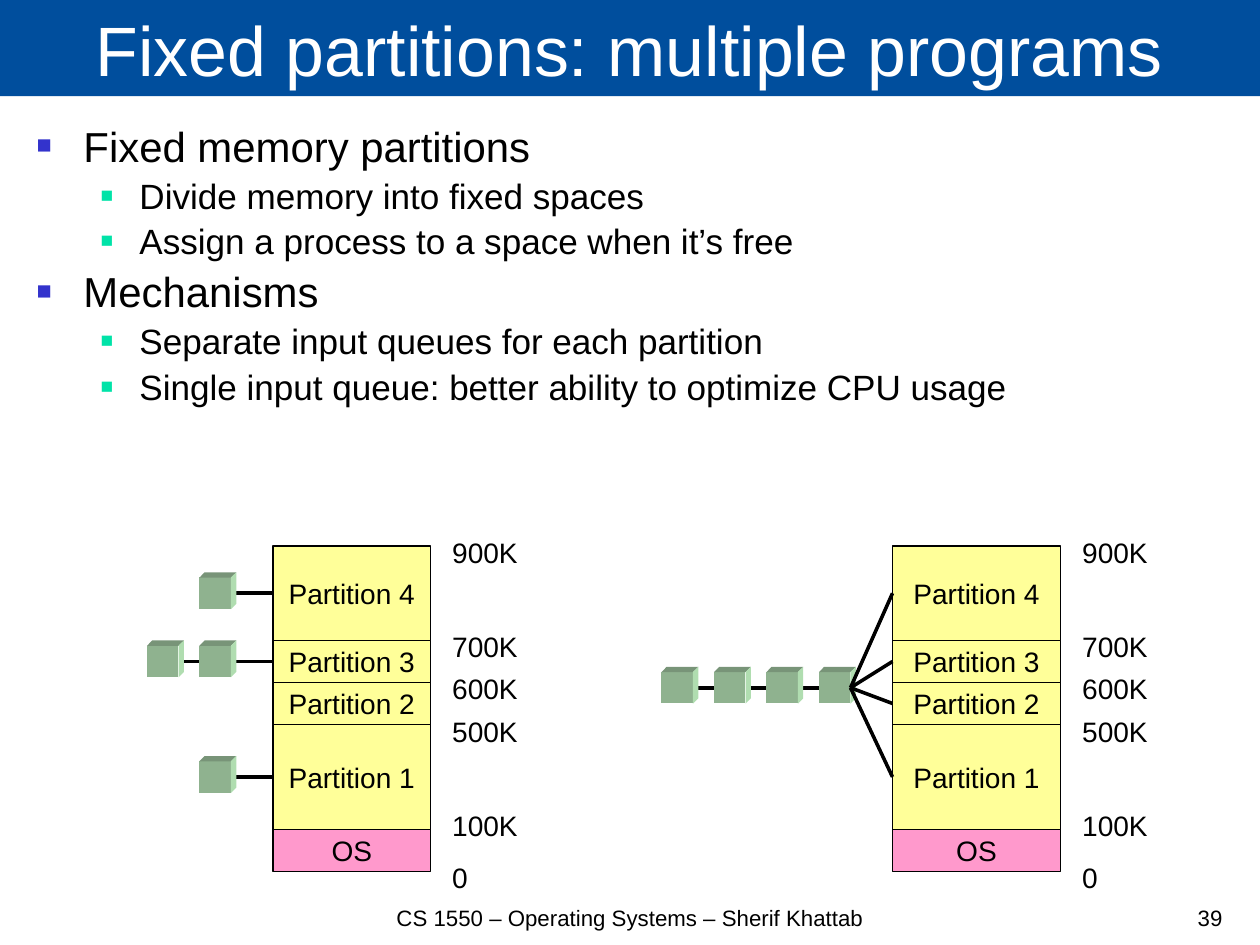
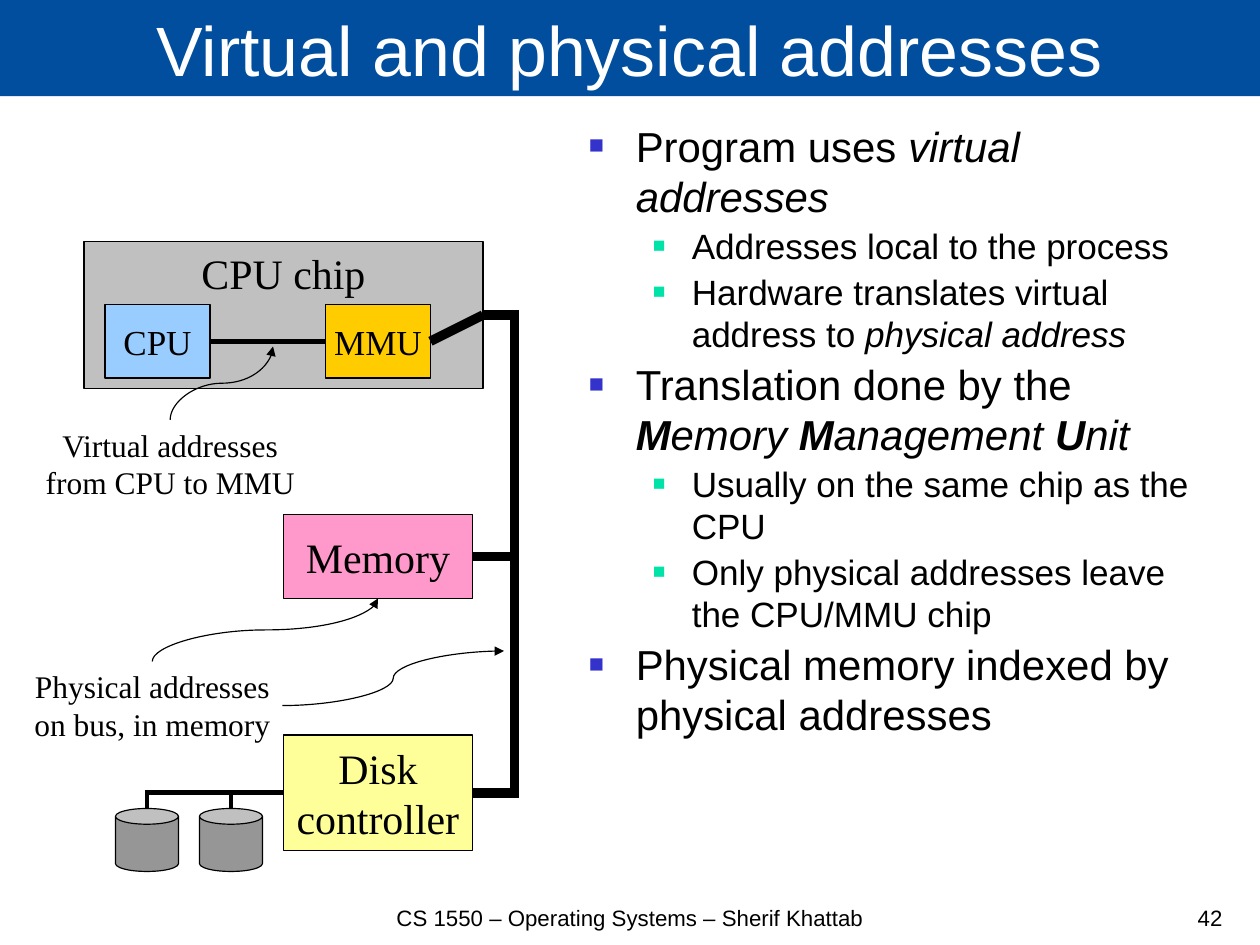
"""Build two operating-systems slides on memory partitions and address translation."""
from dataclasses import dataclass

from lxml import etree
from pptx import Presentation
from pptx.dml.color import RGBColor
from pptx.enum.shapes import MSO_CONNECTOR, MSO_SHAPE
from pptx.enum.text import MSO_ANCHOR, MSO_AUTO_SIZE, PP_ALIGN
from pptx.oxml.ns import qn
from pptx.util import Inches, Mm, Pt

STRAIGHT, ELBOW, CURVE = MSO_CONNECTOR.STRAIGHT, MSO_CONNECTOR.ELBOW, MSO_CONNECTOR.CURVE
RECTANGLE, CAN = MSO_SHAPE.RECTANGLE, MSO_SHAPE.CAN
LEFT, CENTER, RIGHT = PP_ALIGN.LEFT, PP_ALIGN.CENTER, PP_ALIGN.RIGHT
TOP, MIDDLE, BOTTOM = MSO_ANCHOR.TOP, MSO_ANCHOR.MIDDLE, MSO_ANCHOR.BOTTOM


@dataclass(frozen=True)
class Theme:
    sans: str = "Arial"
    serif: str = "Times New Roman"
    black: str = "000000"
    white: str = "FFFFFF"
    band: str = "004E9D"
    pink: str = "FF99CC"
    yellow: str = "FFFF99"
    blue: str = "99CCFF"
    orange: str = "FFCC00"
    silver: str = "C0C0C0"
    gray: str = "969696"
    cube_front: str = "8FB28F"
    cube_top: str = "789478"
    cube_side: str = "B0DDB0"
    bullets: tuple = ("3333CC", "00E3A8")
    body_sizes: tuple = (26.46, 22.05)
    title_size: float = 44
    large: float = 26.46
    medium: float = 22.05
    note: float = 19.84
    label: float = 17.64
    footer: float = 14
    thin: float = 0.75
    queue_line: float = 2.25
    wire: float = 3
    bus: float = 6


theme = Theme()
presentation = Presentation()
presentation.slide_width, presentation.slide_height = Mm(280), Mm(210)
GRID_COLUMNS = 120
unit = presentation.slide_width / GRID_COLUMNS


def add_text(slide, text, box, shape=None, preset=None, fill=None, outline=None, size=theme.label,
             font=theme.sans, color=theme.black, align=CENTER, anchor=MIDDLE, wrap=False, inset=0.05):
    left, top, width, height = (round(value * unit) for value in box)
    if shape is not None:
        shape.left, shape.top, shape.width, shape.height = left, top, width, height
    elif preset is not None:
        shape = slide.shapes.add_shape(preset, left, top, width, height)
        shape.shadow.inherit = False
    else:
        shape = slide.shapes.add_textbox(left, top, width, height)
    if fill:
        shape.fill.solid()
        shape.fill.fore_color.rgb = RGBColor.from_string(fill)
    if outline:
        shape.line.color.rgb = RGBColor.from_string(outline)
        shape.line.width = Pt(theme.thin)
    frame = shape.text_frame
    frame.auto_size = MSO_AUTO_SIZE.NONE
    frame.word_wrap = wrap
    frame.vertical_anchor = anchor
    frame.margin_top = frame.margin_bottom = Inches(inset)
    paragraph = frame.paragraphs[0]
    paragraph.text = text.replace("\n", "\v")
    paragraph.alignment = align
    for run in paragraph.runs:
        run.font.size, run.font.name = Pt(size), font
        run.font.color.rgb = RGBColor.from_string(color)


def connect(slide, kind, begin, end, width, arrow=False, upright=False, bend=None):
    ends = [round(value * unit) for value in (*begin, *end)]
    connector = slide.shapes.add_connector(kind, *ends)
    connector.line.color.rgb = RGBColor.from_string(theme.black)
    connector.line.width = Pt(width)
    properties = connector._element.spPr
    etree.SubElement(properties, qn("a:effectLst"))
    line = properties.find(qn("a:ln"))
    etree.SubElement(line, qn("a:miter"), lim="800000")
    if arrow:
        etree.SubElement(line, qn("a:tailEnd"), type="triangle")
    if upright:
        across, down = connector.width, connector.height
        connector.left += (across - down) // 2
        connector.top += (down - across) // 2
        connector.width, connector.height = down, across
        frame = properties.find(qn("a:xfrm"))
        for name, value in (("rot", "5400000"), ("flipH", "1"), ("flipV", "1")):
            frame.set(name, value)
    if bend is not None:
        guides = properties.find(qn("a:prstGeom")).find(qn("a:avLst"))
        etree.SubElement(guides, qn("a:gd"), name="adj1", fmla=f"val {bend}")


pages = [
    ("Fixed partitions: multiple programs", "39", (2.4, 10.9, 115.2, 73.2), [
        (0, [("Fixed memory partitions", "")]),
        (1, [("Divide memory into fixed spaces", "")]),
        (1, [("Assign a process to a space when it’s free", "")]),
        (0, [("Mechanisms", "")]),
        (1, [("Separate input queues for each partition", "")]),
        (1, [("Single input queue: better ability to optimize CPU usage", "")]),
    ]),
    ("Virtual and physical addresses", "42", (55, 10.9, 62.5, 73.2), [
        (0, [("Program uses ", ""), ("virtual addresses", "i")]),
        (1, [("Addresses local to the process", "")]),
        (1, [("Hardware translates virtual address to ", ""), ("physical address", "i")]),
        (0, [("Translation done by the ", ""), ("M", "bi"), ("emory ", "i"), ("M", "bi"),
             ("anagement ", "i"), ("U", "bi"), ("nit", "i")]),
        (1, [("Usually on the same chip as the CPU", "")]),
        (1, [("Only physical addresses leave the CPU/MMU chip", "")]),
        (0, [("Physical memory indexed by physical addresses", "")]),
    ]),
]
indents = [(0.41, -0.41), (0.9, -0.34)]
slides = []
for title, number, body_box, items in pages:
    slide = presentation.slides.add_slide(presentation.slide_layouts[1])
    slides.append(slide)
    add_text(slide, title, (0, -0.1, GRID_COLUMNS, 9.25), shape=slide.shapes.title, fill=theme.band,
             size=theme.title_size, color=theme.white, anchor=BOTTOM, wrap=True)
    body = slide.placeholders[1]
    add_text(slide, "", body_box, shape=body, align=LEFT, anchor=TOP, wrap=True)
    for index, (level, runs) in enumerate(items):
        frame = body.text_frame
        paragraph = frame.add_paragraph() if index else frame.paragraphs[0]
        paragraph.level = level
        paragraph.space_before = Pt(theme.body_sizes[level] * 0.1)
        for text, style in runs:
            run = paragraph.add_run()
            run.text = text
            run.font.name, run.font.size = theme.sans, Pt(theme.body_sizes[level])
            run.font.color.rgb = RGBColor.from_string(theme.black)
            run.font.bold, run.font.italic = "b" in style, "i" in style
        properties = paragraph._p.get_or_add_pPr()
        margin, indent = indents[level]
        properties.set("marL", str(Inches(margin)))
        properties.set("indent", str(Inches(indent)))
        bullet_color = etree.SubElement(properties, qn("a:buClr"))
        etree.SubElement(bullet_color, qn("a:srgbClr"), val=theme.bullets[level])
        etree.SubElement(properties, qn("a:buSzPct"), val="60000")
        etree.SubElement(properties, qn("a:buFont"), typeface=theme.sans)
        etree.SubElement(properties, qn("a:buChar"), char="■")
    add_text(slide, "CS 1550 – Operating Systems – Sherif Khattab", (24.5, 85.9, 71, 3.3),
             size=theme.footer, anchor=BOTTOM, wrap=True)
    add_text(slide, number, (112.5, 85.9, 5, 3.3), size=theme.footer, align=RIGHT, anchor=BOTTOM,
             wrap=True)

partition_slide, address_slide = slides

partitions = [
    ("Partition 4", 52, 9, theme.yellow),
    ("Partition 3", 61, 4, theme.yellow),
    ("Partition 2", 65, 4, theme.yellow),
    ("Partition 1", 69, 10, theme.yellow),
    ("OS", 79, 4, theme.pink),
]
limits = [("900K", 51), ("700K", 60), ("600K", 64), ("500K", 68), ("100K", 77), ("0", 82)]
for stack_left, stack_width, limit_left in ((26, 15, 42), (85, 16, 102)):
    for name, top, height, fill in partitions:
        add_text(partition_slide, name, (stack_left, top, stack_width, height), preset=RECTANGLE,
                 fill=fill, outline=theme.black)
    for limit, top in limits:
        add_text(partition_slide, limit, (limit_left, top, 9, 3.3), align=LEFT, anchor=TOP,
                 wrap=True, inset=0)

CUBE, DEPTH = 3, 0.5
queues = [([19], 55, [26]), ([14, 19], 61.5, [26]), ([19], 72.5, [26]), ([63, 68, 73, 78], 64, [])]
for columns, top, queue_end in queues:
    middle = top + CUBE / 2
    for left, following in zip(columns, columns[1:] + queue_end):
        connect(partition_slide, STRAIGHT, (left + CUBE + DEPTH, middle), (following, middle),
                theme.queue_line)
    for left in columns:
        right, bottom = left + CUBE, top + CUBE
        faces = [
            (theme.cube_front, [(left, top), (right, top), (right, bottom), (left, bottom)]),
            (theme.cube_top, [(left, top), (left + DEPTH, top - DEPTH),
                              (right + DEPTH, top - DEPTH), (right, top)]),
            (theme.cube_side, [(right, top), (right + DEPTH, top - DEPTH),
                               (right + DEPTH, bottom - DEPTH), (right, bottom)]),
        ]
        for fill, corners in faces:
            points = [(round(x * unit), round(y * unit)) for x, y in corners]
            builder = partition_slide.shapes.build_freeform(*points[0])
            builder.add_line_segments(points[1:])
            face = builder.convert_to_shape()
            face.shadow.inherit = False
            face.fill.solid()
            face.fill.fore_color.rgb = RGBColor.from_string(fill)
            face.line.fill.background()

for name, top, height, fill in partitions[:-1]:
    connect(partition_slide, STRAIGHT, (81, 65.5), (85, top + height / 2), theme.queue_line)

for bus_row in (53, 75.5):
    connect(address_slide, ELBOW, (46, 30), (45, bus_row), theme.bus, bend=-300000)
connect(address_slide, STRAIGHT, (13.8, 75.5), (27, 75.5), theme.wire)
for disk_left in (11, 19):
    connect(address_slide, STRAIGHT, (disk_left + 3, 75.5), (disk_left + 3, 77), theme.wire)
    add_text(address_slide, "", (disk_left, 77, 6, 6), preset=CAN, fill=theme.gray,
             outline=theme.black)

components = [
    ("CPU chip", (8, 23, 38, 14), theme.silver, theme.large, TOP),
    ("CPU", (10, 29, 10, 7), theme.blue, theme.medium, MIDDLE),
    ("MMU", (31, 29, 10, 7), theme.orange, theme.medium, MIDDLE),
    ("Memory", (27, 49, 18, 8), theme.pink, theme.large, MIDDLE),
    ("Disk\ncontroller", (27, 70, 18, 11), theme.yellow, theme.large, MIDDLE),
]
for name, box, fill, size, anchor in components:
    add_text(address_slide, name, box, preset=RECTANGLE, fill=fill, outline=theme.black, size=size,
             font=theme.serif, anchor=anchor)
connect(address_slide, STRAIGHT, (20, 32.5), (31, 32.5), theme.wire)
connect(address_slide, STRAIGHT, (41, 32.5), (46, 30), theme.bus)

notes = [
    ("Virtual addresses\nfrom CPU to MMU", (3.1, 40, 26.2, 8.4)),
    ("Physical addresses\non bus, in memory", (2.1, 63, 24.8, 8.4)),
]
for text, box in notes:
    add_text(address_slide, text, box, size=theme.note, font=theme.serif, anchor=TOP)

pointers = [((16.2, 40), (26, 33), True), ((14.5, 63), (36, 57), True), ((26.9, 67.2), (48, 62), False)]
for begin, end, upright in pointers:
    connect(address_slide, CURVE, begin, end, theme.thin, arrow=True, upright=upright)

presentation.save("out.pptx")
